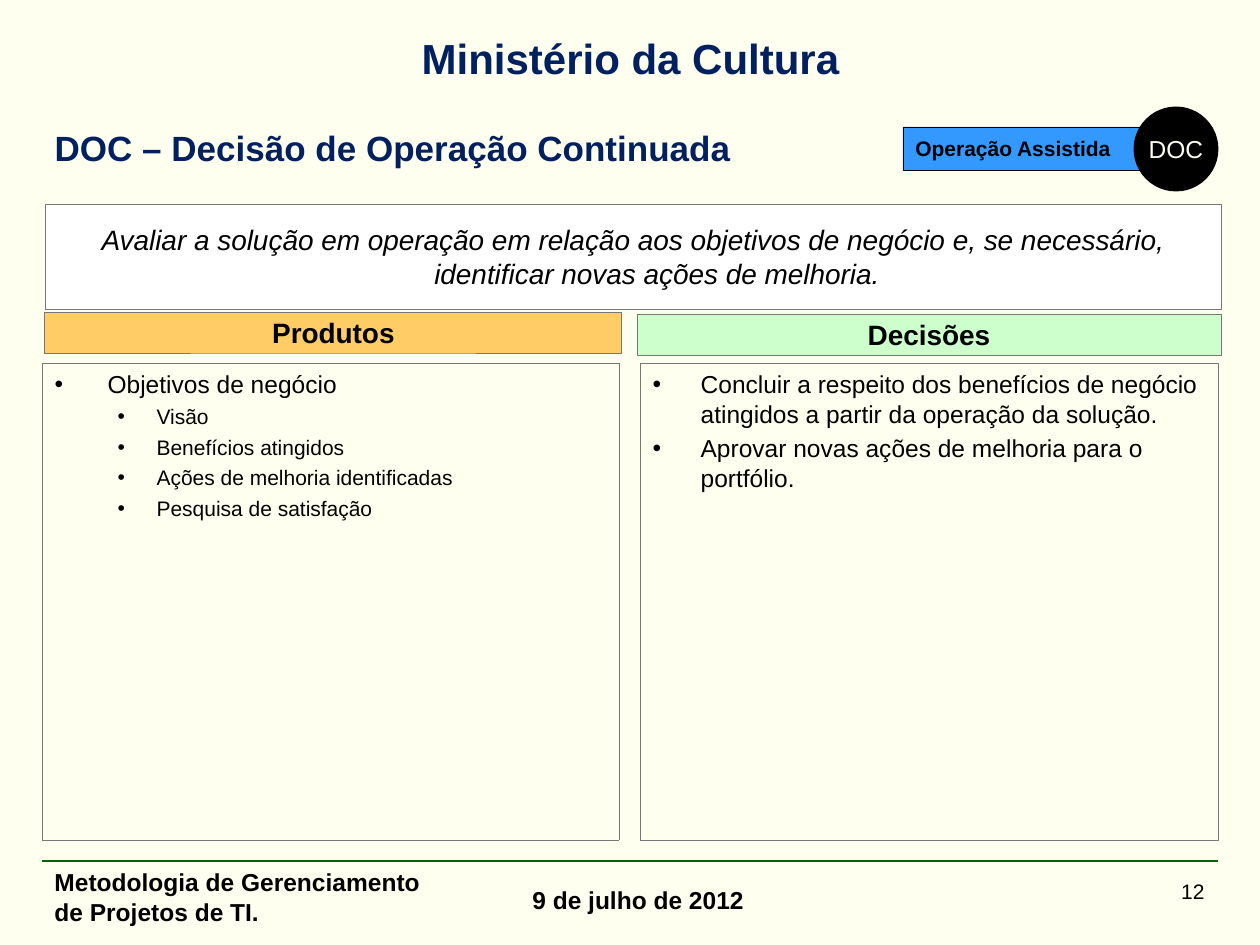
from lxml import etree
from pptx import Presentation
from pptx import util as u
from pptx.dml.color import RGBColor
from pptx.enum import dml, shapes, text
from pptx.oxml.ns import qn

# Places are left, top, width, height in pixels, 126 to the inch.
LABELS = [
    dict(at=(520, 879, 277, 49), tx="9 de julho de 2012", sz="body", b=True),
    dict(at=(59, 26, 1143, 63), tx="Ministério da Cultura", sz="head", b=True,
         ink="navy", al="c"),
    dict(at=(955, 872, 262, 63), tx="12", sz="small", al="r"),
    dict(at=(42, 861, 410, 63), tx="Metodologia de Gerenciamento de Projetos de TI.",
         sz="body", b=True),
]
TITLE = dict(at=(42, 116, 1166, 63), tx="DOC – Decisão de Operação Continuada",
             sz="title", b=True, ink="navy", mid=True)
BOXES = [
    dict(at=(45, 312, 577, 41), tx="Produtos", sz="band", b=True, al="c",
         fill="amber", edge="gray", ind=(48, -48), mid=True),
    dict(at=(637, 314, 584, 41), tx="Decisões", sz="band", b=True, al="c",
         fill="mint", edge="gray", ind=(48, -48), mid=True),
    dict(at=(45, 204, 1176, 105), sz="band", i=True, al="c", fill="white",
         edge="gray", wide=0.25, ind=(48, -48), mid=True,
         tx="Avaliar a solução em operação em relação aos objetivos de negócio e, "
            "se necessário, identificar novas ações de melhoria."),
    dict(at=(903, 127, 274, 43), tx="Operação Assistida", sz="small", b=True,
         fill="blue", edge="black", mid=True),
    dict(at=(1134, 107, 84, 84), tx="DOC", sz="body", ink="cream", al="c",
         fill="black", edge="black", kind="OVAL", wrap=False, mid=True),
]
LISTS = [
    dict(at=(42, 363, 577, 477), ind=(53, -53), items=[
        (0, "Objetivos de negócio"),
        (1, "Visão"),
        (1, "Benefícios atingidos"),
        (1, "Ações de melhoria identificadas"),
        (1, "Pesquisa de satisfação")]),
    dict(at=(640, 363, 578, 477), ind=(48, -48), items=[
        (0, "Concluir a respeito dos benefícios de negócio atingidos "
            "a partir da operação da solução."),
        (0, "Aprovar novas ações de melhoria para o portfólio.")]),
]
SUB = (102, -39)
RULE = (42, 861, 1218, 861)

THEME = dict(
    font="Arial", gap=3,
    size=dict(head=24, title=20, band=16, body=14, small=12),
    color=dict(cream="FFFFEF", navy="002060", black="000000", white="FFFFFF",
               gray="777777", green="006600", amber="FFCC66", mint="CCFFCC",
               blue="3399FF"))
ALIGN = dict(l=text.PP_ALIGN.LEFT, c=text.PP_ALIGN.CENTER, r=text.PP_ALIGN.RIGHT)
SCALE = u.Inches(1) / 126


def px(n):
    """Turn pixels into EMU."""
    return u.Emu(round(n * SCALE))


def color(name):
    """Look up a theme colour."""
    return RGBColor.from_string(THEME["color"][name])


def place(shape, at):
    """Move and size a shape."""
    shape.left, shape.top, shape.width, shape.height = map(px, at)


def edge(shape, name, wide):
    """Set the outline of a shape or line."""
    shape.line.color.rgb = color(name)
    shape.line.width = u.Pt(wide)


def frame(shape, mid=False, wrap=True):
    """Prepare a text frame and return it."""
    tf = shape.text_frame
    tf.word_wrap = wrap
    tf.auto_size = text.MSO_AUTO_SIZE.NONE
    tf.vertical_anchor = text.MSO_ANCHOR.MIDDLE if mid else text.MSO_ANCHOR.TOP
    return tf


def write(par, words, sz, ink="black", b=False, i=False, al="l", ind=None):
    """Write one run into a paragraph."""
    par.alignment = ALIGN[al]
    if ind:
        par.space_before = u.Pt(THEME["gap"])
        props = par._p.get_or_add_pPr()
        props.set("marL", str(px(ind[0])))
        props.set("indent", str(px(ind[1])))
    run = par.add_run()
    run.text = words
    font = run.font
    font.name, font.size = THEME["font"], u.Pt(THEME["size"][sz])
    font.bold, font.italic = b, i
    font.color.rgb = color(ink)


def label(shape, at, tx, mid=False, wrap=True, **style):
    """Place a shape and give it one paragraph."""
    place(shape, at)
    write(frame(shape, mid, wrap).paragraphs[0], tx, **style)


def box(pool, at, fill, edge_ink, kind="RECTANGLE", wide=0.5, **rest):
    """Add a filled shape with text."""
    shape = pool.add_shape(getattr(shapes.MSO_SHAPE, kind), *map(px, at))
    shape.shadow.inherit = False
    shape.fill.solid()
    shape.fill.fore_color.rgb = color(fill)
    edge(shape, edge_ink, wide)
    label(shape, at, **rest)


def bullets(shape, at, ind, items):
    """Fill a body placeholder with a two-level list."""
    place(shape, at)
    edge(shape, "gray", 0.25)
    shape.line.dash_style = dml.MSO_LINE.ROUND_DOT
    tf = frame(shape)
    for n, (level, words) in enumerate(items):
        par = tf.add_paragraph() if n else tf.paragraphs[0]
        par.level = level
        write(par, words, "small" if level else "body", ind=SUB if level else ind)
        props = par._p.get_or_add_pPr()
        etree.SubElement(props, qn("a:buFont"), typeface=THEME["font"])
        etree.SubElement(props, qn("a:buChar"), char="•")


def build():
    """Build and save the slide."""
    deck = Presentation()
    deck.slide_width, deck.slide_height = px(1260), px(945)
    slide = deck.slides.add_slide(deck.slide_layouts[3])
    pool = slide.shapes
    title, *bodies = slide.placeholders
    slide.background.fill.solid()
    slide.background.fill.fore_color.rgb = color("cream")

    rule = pool.add_connector(shapes.MSO_CONNECTOR.STRAIGHT, *map(px, RULE))
    edge(rule, "green", 0.75)
    etree.SubElement(rule._element.spPr, qn("a:effectLst"))
    for item in LABELS:
        label(pool.add_textbox(0, 0, 0, 0), **item)
    label(title, **TITLE)
    for item in BOXES:
        rest = dict(item)
        box(pool, edge_ink=rest.pop("edge"), **rest)
    for body, item in zip(bodies, LISTS):
        bullets(body, **item)
    deck.save("out.pptx")


build()
